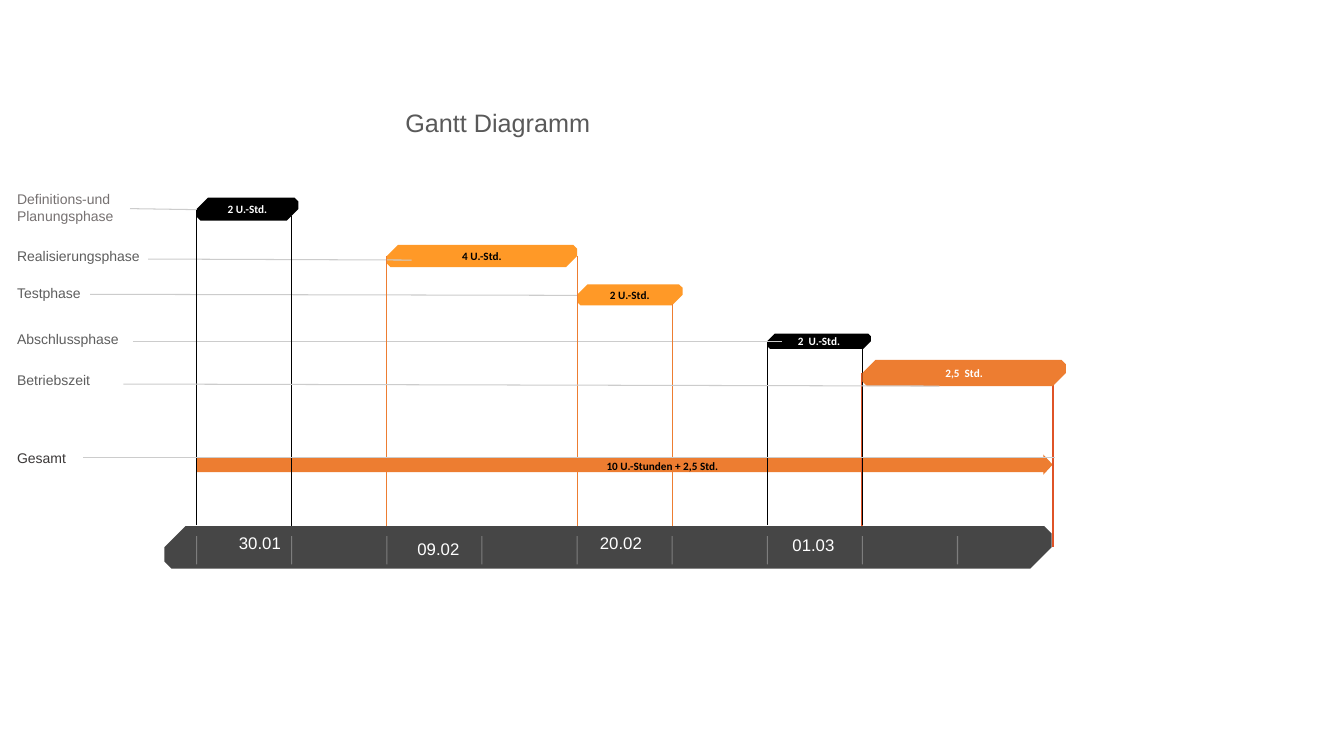
from collections import namedtuple
from dataclasses import dataclass
from lxml import etree
from pptx import Presentation
from pptx.dml.color import RGBColor
from pptx.enum.shapes import MSO_CONNECTOR, MSO_SHAPE
from pptx.enum.text import MSO_ANCHOR, PP_ALIGN
from pptx.oxml.ns import qn
from pptx.util import Inches, Pt

LINE = MSO_CONNECTOR.STRAIGHT
SNIP = MSO_SHAPE.SNIP_2_DIAG_RECTANGLE
ARROW = MSO_SHAPE.RIGHT_ARROW
MID, TOP = MSO_ANCHOR.MIDDLE, MSO_ANCHOR.TOP
LEFT, CENTER = PP_ALIGN.LEFT, PP_ALIGN.CENTER


@dataclass(frozen=True)
class Theme:
    head: str = "Arial"
    bar: str = "Calibri"
    title: int = 18
    date: int = 12
    label: int = 10
    small: int = 8
    black: str = "000000"
    white: str = "FFFFFF"
    band: str = "464646"
    amber: str = "FF9927"
    orange: str = "ED7D31"
    red: str = "DF5327"
    rule: str = "CCCCCC"
    gray: str = "5E5E5E"
    light: str = "767171"
    dark: str = "3B3838"
    heading: str = "595959"


T = Theme()
COLS = 9
ROW = 0.1
Box = namedtuple("Box", "left top width height")
Phase = namedtuple("Phase", "name tone mid lead bar fill text ink")
CHART = Box(1.95, 1.9, 8.49, 3.32)
BAND = Box(1.63, 5.22, 8.8, 0.42)
HEAD = Box(3.92, 1.01, 2.67, 0.4)
EDGE = 0.17

PHASES = [
    Phase("Definitions-und Planungsphase", T.light, 1.6, (-0.7, 1.7, 0, 1.8),
          (0, 0.6, 1.07, 2.3), T.black, "2 U.-Std.", T.white),
    Phase("Realisierungsphase", T.gray, 6.35, (-0.51, 6.7, 2.26, 6.8),
          (2, 5.3, 2, 2.2), T.amber, "4 U.-Std.", T.black),
    Phase("Testphase", T.gray, 10.05, (-1.12, 10.2, 4, 10.3),
          (4, 9.2, 1.11, 2.1), T.amber, "2 U.-Std.", T.black),
    Phase("Abschlussphase", T.gray, 14.65, (-0.67, 14.9, 6.16, 14.9),
          (6, 14.1, 1.09, 1.5), T.black, "2  U.-Std.", T.white),
    Phase("Betriebszeit", T.gray, 18.65, (-0.77, 19.1, 7.81, 19.3),
          (7, 16.7, 2.14, 2.6), T.orange, "2,5  Std.", T.white),
]
DROPS = [
    (0, 1.8, 33.1, T.black, 0.5), (1, 2.4, 33.2, T.black, 0.5),
    (2, 6.4, 33.2, T.orange, 0.5), (4, 6.4, 33.2, T.orange, 0.5),
    (5, 11.2, 33.2, T.orange, 0.5), (6, 15.1, 33.1, T.black, 0.5),
    (7, 18, 33.2, T.red, 1.5), (7, 15.4, 33.1, T.black, 0.5),
    (9, 19.1, 35.3, T.red, 1.5),
]
DATES = [("30.01", 0.74, 0.17), ("09.02", 2.51, 0.22),
         ("20.02", 4.32, 0.17), ("01.03", 6.23, 0.19)]


def color(code):
    return RGBColor.from_string(code)


def col(box, num):
    return box.left + num * box.width / COLS


def row(box, num):
    return box.top + num * ROW


def write(frame, text, size, ink, font, bold=False, align=LEFT, anchor=MID):
    frame.margin_left = frame.margin_right = 0
    frame.margin_top = frame.margin_bottom = 0
    frame.word_wrap = True
    frame.vertical_anchor = anchor
    para = frame.paragraphs[0]
    para.alignment = align
    run = para.add_run()
    run.text = text
    run.font.size = Pt(size)
    run.font.name = font
    run.font.bold = bold
    run.font.color.rgb = color(ink)


def note(slide, left, mid, width, text, size, ink, font, bold=False):
    high = 0.4
    area = slide.shapes.add_textbox(Inches(left), Inches(mid - high / 2),
                                    Inches(width), Inches(high))
    write(area.text_frame, text, size, ink, font, bold)


def line(slide, start, end, tone, width, alpha=None):
    link = slide.shapes.add_connector(
        LINE, *[Inches(num) for num in (*start, *end)])
    link.line.width = Pt(width)
    link.line.color.rgb = color(tone)
    props = link._element.spPr
    if alpha:
        tint = props.find(".//" + qn("a:srgbClr"))
        etree.SubElement(tint, qn("a:alpha")).set("val", str(alpha * 1000))
    etree.SubElement(props, qn("a:effectLst"))


def block(slide, kind, box, fill, first, second):
    form = slide.shapes.add_shape(kind, *[Inches(num) for num in box])
    form.shadow.inherit = False
    form.fill.solid()
    form.fill.fore_color.rgb = color(fill)
    form.line.fill.background()
    form.adjustments[0] = first
    form.adjustments[1] = second
    return form


def title(slide, box):
    head = slide.shapes.title
    head.left, head.top, head.width, head.height = [Inches(n) for n in box]
    write(head.text_frame, "Gantt Diagramm", T.title, T.heading, T.head,
          anchor=TOP)
    head.text_frame.margin_left = Inches(0.1)
    head.text_frame.margin_top = Inches(0.05)


def lead(slide, box, ends):
    left, top, right, low = ends
    line(slide, (col(box, left), row(box, top)),
         (col(box, right), row(box, low)), T.rule, 0.75)


def label(slide, box, name, mid, tone):
    note(slide, EDGE, row(box, mid), 1.3, name, T.label, tone, T.head)


def phase(slide, box, item):
    left, top, span, high = item.bar
    area = Box(col(box, left), row(box, top),
               span * box.width / COLS, high * ROW)
    bar = block(slide, SNIP, area, item.fill, 0.5, 0.17)
    write(bar.text_frame, item.text, T.small, item.ink, T.bar, True, CENTER)
    label(slide, box, item.name, item.mid, item.tone)
    lead(slide, box, item.lead)


def band(slide, box, grid):
    block(slide, SNIP, box, T.band, 0.5, 0.17)
    for num in range(COLS + 1):
        left = col(grid, num)
        line(slide, (left, box.top + 0.1), (left, box.top + 0.38),
             T.white, 0.75, 30)
    for text, left, mid in DATES:
        note(slide, box.left + left, box.top + mid, 0.7, text,
             T.date, T.white, T.head)


def total(slide, box):
    area = Box(box.left, row(box, 26.1), box.width, 2 * ROW)
    block(slide, ARROW, area, T.orange, 0.75, 0.46)
    label(slide, box, "Gesamt", 26.4, T.dark)


def chart(slide, box):
    for item in PHASES[:-1]:
        phase(slide, box, item)
    total(slide, box)
    for num, top, low, tone, width in DROPS:
        left = col(box, num)
        line(slide, (left, row(box, top)), (left, row(box, low)), tone, width)
    note(slide, col(box, 4.31), row(box, 27.2), 2, "10 U.-Stunden + 2,5 Std.",
         T.small, T.black, T.bar, True)
    phase(slide, box, PHASES[-1])
    lead(slide, box, (-1.19, 26.4, 9.02, 26.4))


def main():
    deck = Presentation()
    deck.slide_width, deck.slide_height = Inches(13.33), Inches(7.5)
    slide = deck.slides.add_slide(deck.slide_layouts[5])
    title(slide, HEAD)
    band(slide, BAND, CHART)
    chart(slide, CHART)
    deck.save("out.pptx")


if __name__ == "__main__":
    main()
